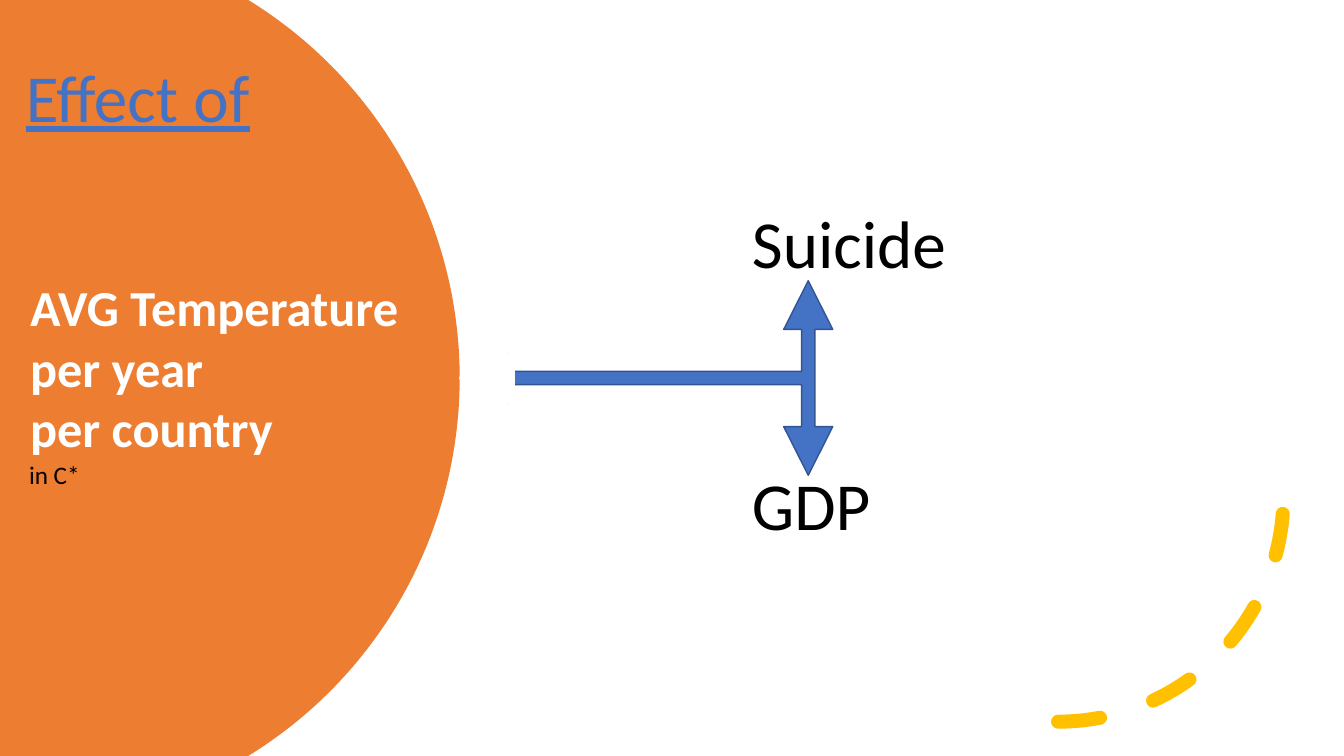
from math import asin, cos, sin

from lxml.etree import SubElement
from pptx import Presentation
from pptx.dml.color import RGBColor
from pptx.enum.dml import MSO_LINE
from pptx.enum.shapes import MSO_SHAPE
from pptx.enum.text import MSO_ANCHOR, PP_ALIGN
from pptx.oxml.ns import qn
from pptx.util import Inches, Pt

ORANGE = RGBColor(0xED, 0x7D, 0x31)
BLUE = RGBColor(0x44, 0x72, 0xC4)
DARK_BLUE = RGBColor(0x32, 0x54, 0x91)
GOLD = RGBColor(0xFF, 0xC0, 0x00)
WHITE = RGBColor(0xFF, 0xFF, 0xFF)
BLACK = RGBColor(0x00, 0x00, 0x00)

SLIDE_WIDTH, SLIDE_HEIGHT = 13.33, 7.5
MIDDLE = SLIDE_HEIGHT / 2
FONT = "Calibri"


def add_text(slide, box, lines, size, color, bold=False, underline=False,
             align=PP_ALIGN.LEFT, anchor=MSO_ANCHOR.TOP, line_spacing=1.0):
    frame = slide.shapes.add_textbox(*map(Inches, box)).text_frame
    frame.word_wrap = True
    frame.vertical_anchor = anchor
    frame.text = "\n".join(lines)
    for paragraph in frame.paragraphs:
        paragraph.alignment = align
        paragraph.line_spacing = line_spacing
        font = paragraph.font
        font.name, font.size, font.bold = FONT, Pt(size), bold
        font.underline = underline
        font.color.rgb = color


def paint(shape, fill, line, line_width=1):
    shape.shadow.inherit = False
    if fill is None:
        shape.fill.background()
    else:
        shape.fill.solid()
        shape.fill.fore_color.rgb = fill
    if line is None:
        shape.line.fill.background()
    else:
        shape.line.color.rgb = line
        shape.line.width = Pt(line_width)


def add_turned_shape(slide, kind, center_x, center_y, width, height):
    """Add a shape turned by 270 degrees; width and height are as seen."""
    shape = slide.shapes.add_shape(
        kind, Inches(center_x - height / 2), Inches(center_y - width / 2),
        Inches(height), Inches(width))
    shape.rotation = 270
    return shape


def draw_cause_panel(slide, left, top, width, height):
    """Fill the box with a circle segment bulging right, and put the cause on it."""
    edge = width * 0.54
    bulge = width - edge
    radius = (bulge ** 2 + (height / 2) ** 2) / (2 * bulge)
    center_x, center_y = left + width - radius, top + height / 2
    reach = asin(height / 2 / radius)
    steps = 120
    angles = [reach * (2 * step / steps - 1) for step in range(steps + 1)]
    curve = [(Inches(center_x + radius * cos(angle)),
              Inches(center_y + radius * sin(angle))) for angle in angles]

    builder = slide.shapes.build_freeform(Inches(left), Inches(top))
    builder.add_line_segments(curve + [(Inches(left), Inches(top + height))])
    paint(builder.convert_to_shape(), ORANGE, None)

    add_text(slide, (left - 0.61, top - 0.46, 3.95, 2.91), ["Effect of"], 48, BLUE,
             underline=True, align=PP_ALIGN.CENTER, anchor=MSO_ANCHOR.MIDDLE,
             line_spacing=0.9)
    add_text(slide, (left + 0.2, top + 2.69, width - 0.2, 1.92),
             ["AVG Temperature", "per year", "per country"], 36, WHITE, bold=True)
    add_text(slide, (left + 0.19, top + 4.51, 1.71, 0.4), ["in C*"], 18, BLACK)


def draw_branching_arrow(slide, left, center_y, width, height):
    """Draw the arrow that forks up and down, its third head covered in white."""
    arrow = add_turned_shape(slide, MSO_SHAPE.LEFT_RIGHT_UP_ARROW,
                             left + width / 2, center_y, width, height)
    for index, value in enumerate((0.068, 0.126, 0.25)):
        arrow.adjustments[index] = value
    paint(arrow, BLUE, DARK_BLUE)

    cover_width = 0.54
    cover = add_turned_shape(slide, MSO_SHAPE.REGULAR_PENTAGON,
                             left + cover_width / 2, center_y, cover_width, 0.71)
    paint(cover, WHITE, WHITE)


def draw_effects(slide, left, center_y, width, gap):
    """Place the two effects at equal distances above and below center_y."""
    line_height = 0.8
    for label, side in (("Suicide", -1), ("GDP", 1)):
        top = center_y + side * gap / 2 - line_height / 2
        add_text(slide, (left, top, width, line_height), [label], 48, BLACK,
                 anchor=MSO_ANCHOR.MIDDLE, line_spacing=0.9)


def draw_dashed_arc(slide, left, top, size):
    arc = slide.shapes.add_shape(MSO_SHAPE.ARC, Inches(left), Inches(top),
                                 Inches(size), Inches(size))
    paint(arc, None, GOLD, 10)
    arc.line.dash_style = MSO_LINE.DASH
    properties = arc._element.spPr
    properties.find(qn("a:xfrm")).set("flipV", "1")
    outline = properties.find(qn("a:ln"))
    outline.set("cap", "rnd")
    SubElement(outline, qn("a:round"))


def main():
    presentation = Presentation()
    presentation.slide_width = Inches(SLIDE_WIDTH)
    presentation.slide_height = Inches(SLIDE_HEIGHT)
    slide = presentation.slides.add_slide(presentation.slide_layouts[6])

    draw_cause_panel(slide, 0, 0, 4.56, SLIDE_HEIGHT)
    draw_dashed_arc(slide, 8.26, 2.69, 4.47)
    draw_effects(slide, 7.36, MIDDLE, 5.5, 2.6)
    draw_branching_arrow(slide, 4.56, MIDDLE, 3.7, 1.93)
    presentation.save("out.pptx")


if __name__ == "__main__":
    main()
